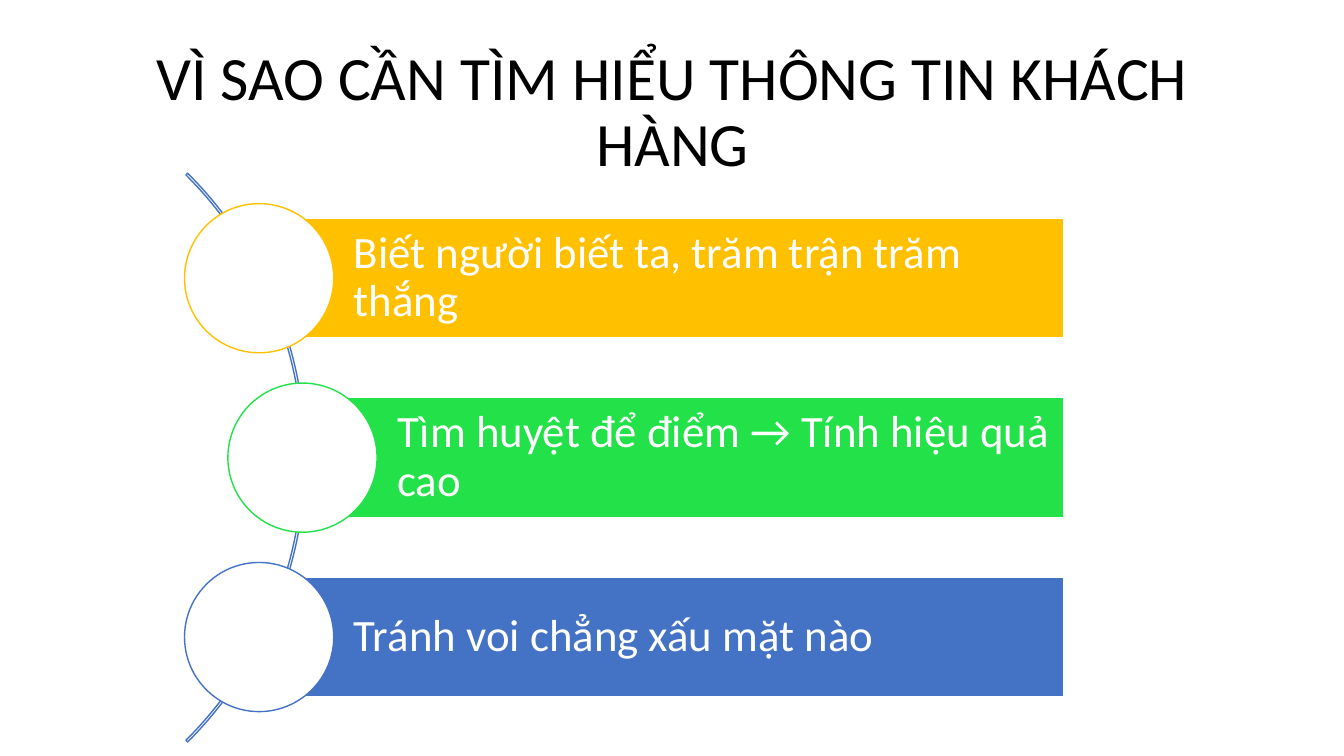
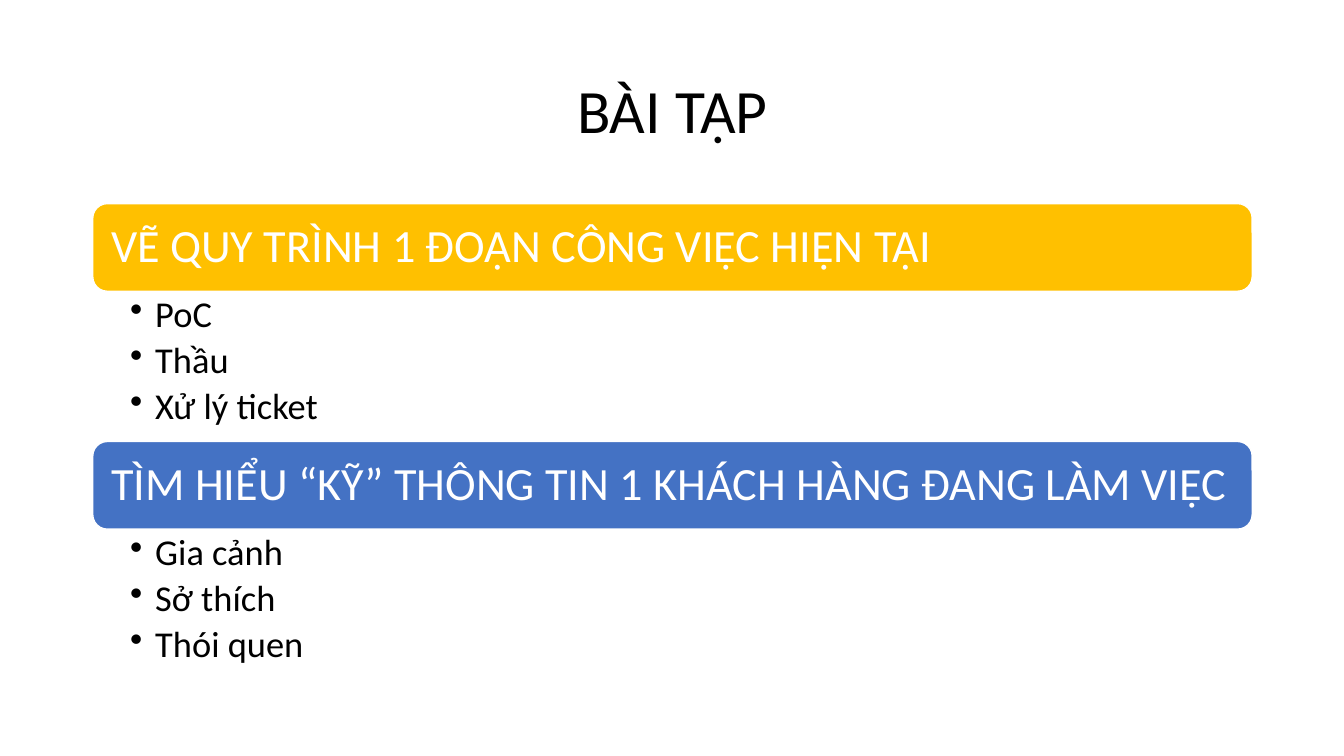
"""Build two slides: why to learn about customers, and an exercise."""
from lxml.etree import SubElement
from pptx import Presentation
from pptx.dml.color import RGBColor
from pptx.enum.shapes import MSO_SHAPE as SHAPE
from pptx.enum.text import MSO_ANCHOR as ANCHOR, PP_ALIGN as ALIGN
from pptx.oxml.ns import qn
from pptx.util import Inches, Pt

COLORS = {
    "black": "000000",
    "white": "FFFFFF",
    "gold": "FFC000",
    "green": "23E148",
    "blue": "4472C4",
}
LEFT, WIDTH = 0.92, 11.5


def add_block(slide, kind, box, fill, line):
    block = slide.shapes.add_shape(kind, *map(Inches, box))
    block.shadow.inherit = False
    if fill:
        block.fill.solid()
        block.fill.fore_color.rgb = RGBColor.from_string(COLORS[fill])
    else:
        block.fill.background()
    block.line.color.rgb = RGBColor.from_string(COLORS[line])
    block.line.width = Pt(1)
    return block


def write(holder, lines, size, color, insets, anchor=ANCHOR.MIDDLE,
          align=ALIGN.LEFT, space_after=0, bullet=False):
    frame = holder.text_frame
    frame.word_wrap = True
    frame.vertical_anchor = anchor
    (frame.margin_left, frame.margin_top,
     frame.margin_right, frame.margin_bottom) = map(Inches, insets)
    frame.text = "\n".join(lines)
    for paragraph in frame.paragraphs:
        paragraph.alignment = align
        paragraph.line_spacing = 0.9
        paragraph.space_after = Pt(space_after)
        paragraph.font.name = "Calibri"
        paragraph.font.size = Pt(size)
        paragraph.font.color.rgb = RGBColor.from_string(COLORS[color])
        if bullet:
            properties = paragraph._p.get_or_add_pPr()
            properties.set("marL", str(Inches(0.25)))
            properties.set("indent", str(Inches(-0.25)))
            mark = SubElement(properties, qn("a:buChar"), char="•")
            properties.remove(mark)
            properties.insert_element_before(mark, "a:tabLst", "a:defRPr")


prs = Presentation()
prs.slide_width, prs.slide_height = Inches(13.33), Inches(7.5)

slides = []
for heading in ("VÌ SAO CẦN TÌM HIỂU THÔNG TIN KHÁCH HÀNG", "BÀI TẬP"):
    slide = prs.slides.add_slide(prs.slide_layouts[6])
    title = slide.shapes.add_textbox(*map(Inches, (LEFT, 0.4, WIDTH, 1.45)))
    write(title, [heading], 44, "black", (0.1, 0.05, 0.1, 0.05), align=ALIGN.CENTER)
    slides.append(slide)
reasons_slide, exercise_slide = slides

arc = add_block(reasons_slide, SHAPE.BLOCK_ARC, (-4.95, 0.55, 7.98, 7.98), None, "blue")
for index, value in enumerate((189, 27, 0.003)):
    arc.adjustments[index] = value

reasons = [
    ("Biết người biết ta, trăm trận trăm thắng", "gold", 2.57),
    ("Tìm huyệt để điểm → Tính hiệu quả cao", "green", 3),
    ("Tránh voi chẳng xấu mặt nào", "blue", 2.57),
]
BAR_RIGHT, BAR_HEIGHT, CIRCLE = 10.55, 1.19, 1.48
for index, (reason, color, left) in enumerate(reasons):
    middle = 2.76 + index * 1.78
    bar = add_block(reasons_slide, SHAPE.RECTANGLE,
                    (left, middle - BAR_HEIGHT / 2, BAR_RIGHT - left, BAR_HEIGHT),
                    color, "white")
    write(bar, [reason], 32, "white", (0.94, 0.09, 0.09, 0.09))
    add_block(reasons_slide, SHAPE.OVAL,
              (left - CIRCLE / 2, middle - CIRCLE / 2, CIRCLE, CIRCLE), "white", color)

exercises = [
    ("VẼ QUY TRÌNH 1 ĐOẠN CÔNG VIỆC HIỆN TẠI", "gold",
     ["PoC", "Thầu", "Xử lý ticket"]),
    ("TÌM HIỂU “KỸ” THÔNG TIN 1 KHÁCH HÀNG ĐANG LÀM VIỆC", "blue",
     ["Gia cảnh", "Sở thích", "Thói quen"]),
]
TASK_HEIGHT, DETAILS_HEIGHT = 0.87, 1.49
for index, (task, color, details) in enumerate(exercises):
    top = 2.02 + index * (TASK_HEIGHT + DETAILS_HEIGHT)
    task_bar = add_block(exercise_slide, SHAPE.ROUNDED_RECTANGLE,
                         (LEFT, top, WIDTH, TASK_HEIGHT), color, "white")
    write(task_bar, [task], 33, "white", (0.14, 0.14, 0.14, 0.14))
    detail_list = exercise_slide.shapes.add_textbox(
        *map(Inches, (LEFT, top + TASK_HEIGHT, WIDTH, DETAILS_HEIGHT)))
    write(detail_list, details, 26, "black", (0.37, 0.05, 0.26, 0.05),
          anchor=ANCHOR.TOP, space_after=4.7, bullet=True)

prs.save("out.pptx")
